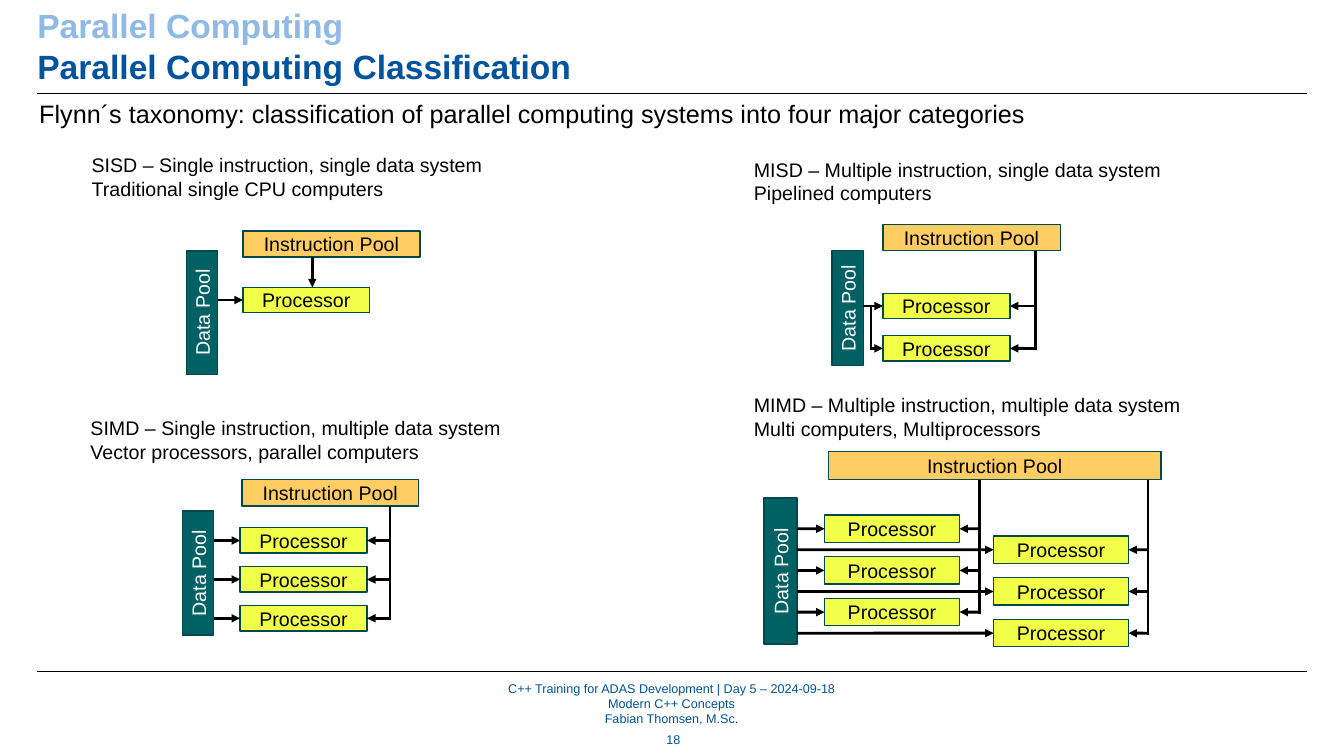
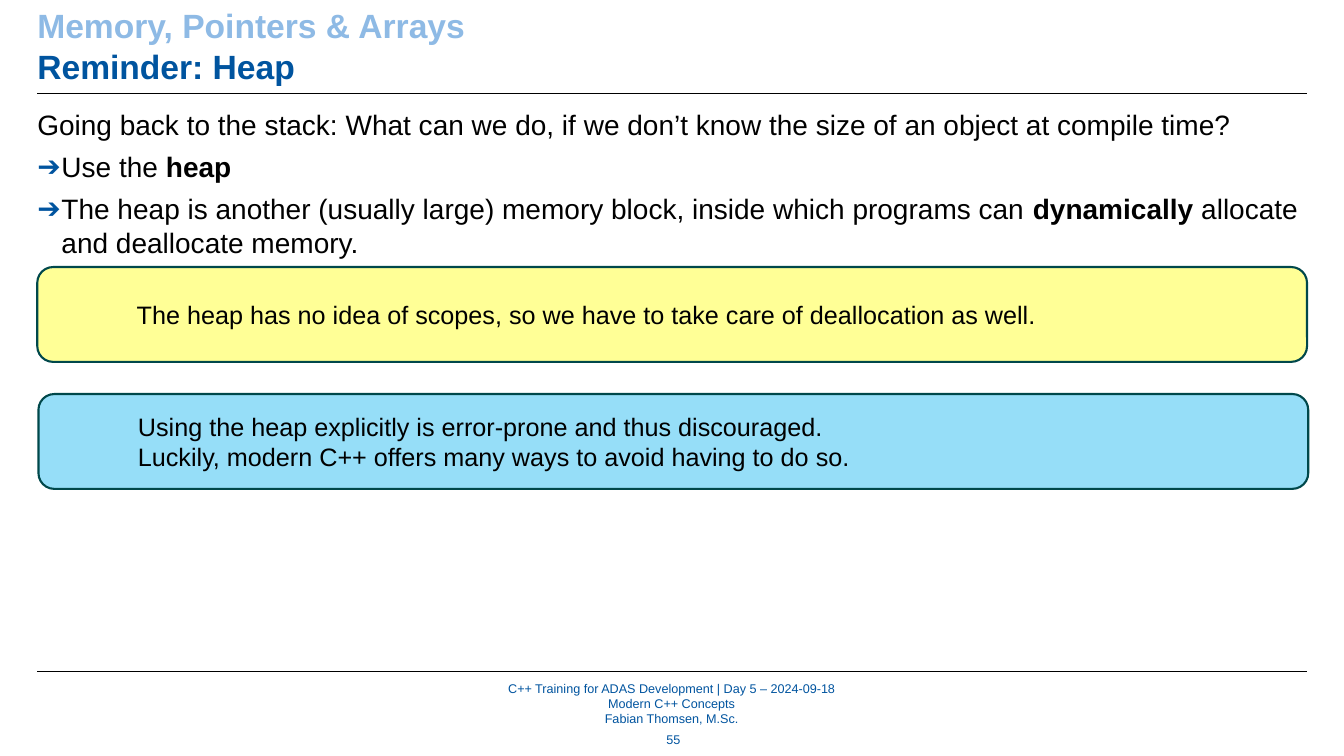
from dataclasses import dataclass
from typing import Any, Optional

from lxml import etree
from pptx import Presentation
from pptx.dml.color import RGBColor
from pptx.enum.shapes import MSO_CONNECTOR as Connector, MSO_SHAPE as Preset
from pptx.enum.text import MSO_ANCHOR as Anchor, PP_ALIGN as Align
from pptx.oxml.ns import qn
from pptx.util import Cm, Pt

FONT = "Arial"
BLACK = RGBColor(0x00, 0x00, 0x00)
WHITE = RGBColor(0xFF, 0xFF, 0xFF)
BLUE = RGBColor(0x00, 0x54, 0x9F)
LIGHT_BLUE = RGBColor(0x8E, 0xBA, 0xE5)
TEAL = RGBColor(0x00, 0x61, 0x65)
DARK_TEAL = RGBColor(0x00, 0x48, 0x4B)
ORANGE = RGBColor(0xFF, 0xCD, 0x61)
LIME = RGBColor(0xF1, 0xFF, 0x48)
YELLOW = RGBColor(0xFF, 0xFF, 0x00)
SKY = RGBColor(0x00, 0xB0, 0xF0)

MARGIN, CONTENT_WIDTH = 0.94, 32.0
RULE_TOPS = (2.34, 16.92)
ARROW_WIDTH = 2
HALF_STROKE = 0.035  # closes the corner where a trunk meets its last arrow
FOOTER = (
    "C++ Training for ADAS Development | Day 5 – 2024-09-18",
    "Modern C++ Concepts",
    "Fabian Thomsen, M.Sc.",
)
NO_INSETS = (0, 0, 0, 0)
TEXT_INSETS = (0.25, 0.13, 0.25, 0.13)
CALLOUT_INSETS = (2.39, 0.13, 0.25, 0.13)


@dataclass(frozen=True)
class Box:
    """A rectangle in centimetres."""
    left: float
    top: float
    width: float
    height: float

    @property
    def right(self) -> float:
        return self.left + self.width

    @property
    def bottom(self) -> float:
        return self.top + self.height

    @property
    def lengths(self) -> tuple:
        return Cm(self.left), Cm(self.top), Cm(self.width), Cm(self.height)


@dataclass(frozen=True)
class Run:
    text: str
    size: float
    color: RGBColor = BLACK
    bold: bool = False


@dataclass(frozen=True)
class Column:
    """Equally spaced processors, fed by data and an instruction trunk."""
    first: Box
    count: int = 1
    pitch: float = 0
    trunk_x: Optional[float] = None
    data_trunk_x: Optional[float] = None


@dataclass(frozen=True)
class Diagram:
    caption: tuple
    caption_at: tuple
    data_pool: Box
    instruction_pool: Box
    columns: tuple
    down_arrow_x: Optional[float] = None


@dataclass(frozen=True)
class Callout:
    box: Box
    color: RGBColor
    lines: tuple


DIAGRAMS = (
    Diagram(
        ("SISD – Single instruction, single data system",
         "Traditional single CPU computers"),
        (2.06, 3.73), Box(4.70, 6.32, 0.79, 3.12), Box(6.12, 5.82, 4.47, 0.66),
        (Column(Box(6.12, 7.24, 3.2, 0.64)),),
        down_arrow_x=7.87,
    ),
    Diagram(
        ("MIMD – Multiple instruction, multiple data system",
         "Multi computers, Multiprocessors"),
        (18.75, 9.78), Box(19.25, 12.55, 0.84, 3.68), Box(20.88, 11.38, 8.38, 0.71),
        (Column(Box(20.78, 12.98, 3.4, 0.69), 3, 1.05, 24.69),
         Column(Box(25.04, 13.51, 3.4, 0.69), 3, 1.05, 28.93)),
    ),
    Diagram(
        ("SIMD – Single instruction, multiple data system",
         "Vector processors, parallel computers"),
        (2.03, 10.36), Box(4.60, 12.88, 0.79, 3.12), Box(6.10, 12.09, 4.45, 0.66),
        (Column(Box(6.05, 13.30, 3.2, 0.64), 3, 0.98, 9.83),),
    ),
    Diagram(
        ("MISD – Multiple instruction, single data system",
         "Pipelined computers"),
        (18.75, 3.84), Box(20.97, 6.31, 0.79, 2.9), Box(22.25, 5.66, 4.47, 0.66),
        (Column(Box(22.25, 7.39, 3.2, 0.64), 2, 1.07, 26.09, 21.95),),
    ),
)

CALLOUTS = (
    Callout(Box(0.94, 6.73, 32, 2.39), YELLOW,
            ("The heap has no idea of scopes, so we have to take care of "
             "deallocation as well.",)),
    Callout(Box(0.97, 9.93, 32, 2.39), SKY,
            ("Using the heap explicitly is error-prone and thus discouraged.",
             "Luckily, modern C++ offers many ways to avoid having to do so.")),
)


def set_all(target: Any, values: dict) -> None:
    for name, value in values.items():
        setattr(target, name, value)


def write(shape: Any, paragraphs: list, align: Align = Align.LEFT,
          anchor: Anchor = Anchor.TOP, insets: tuple = TEXT_INSETS) -> list:
    """Fill a shape with paragraphs, each a list of runs."""
    frame = shape.text_frame
    left, top, right, bottom = (Cm(inset) for inset in insets)
    set_all(frame, {
        "word_wrap": True, "vertical_anchor": anchor, "margin_left": left,
        "margin_top": top, "margin_right": right, "margin_bottom": bottom,
    })
    for index, runs in enumerate(paragraphs):
        paragraph = frame.add_paragraph() if index else frame.paragraphs[0]
        paragraph.alignment = align
        for item in runs:
            run = paragraph.add_run()
            run.text = item.text
            set_all(run.font, {"name": FONT, "size": Pt(item.size), "bold": item.bold})
            run.font.color.rgb = item.color
    return list(frame.paragraphs)


def add_text(shapes: Any, box: Box, paragraphs: list, **options: Any) -> list:
    return write(shapes.add_textbox(*box.lengths), paragraphs, **options)


def add_panel(shapes: Any, preset: Preset, box: Box, fill: RGBColor,
              line_width: float) -> Any:
    shape = shapes.add_shape(preset, *box.lengths)
    shape.shadow.inherit = False
    shape.fill.solid()
    shape.fill.fore_color.rgb = fill
    shape.line.color.rgb = DARK_TEAL
    shape.line.width = Pt(line_width)
    return shape


def add_label_box(shapes: Any, box: Box, label: str, fill: RGBColor,
                  color: RGBColor = BLACK) -> Any:
    shape = add_panel(shapes, Preset.RECTANGLE, box, fill, 1)
    write(shape, [[Run(label, 14, color)]], Align.CENTER, Anchor.MIDDLE)
    return shape


def add_line(shapes: Any, start: tuple, end: tuple, width: float = ARROW_WIDTH,
             arrow: bool = False) -> Any:
    points = (Cm(value) for value in (*start, *end))
    connector = shapes.add_connector(Connector.STRAIGHT, *points)
    connector.line.color.rgb = BLACK
    connector.line.width = Pt(width)
    properties = connector.element.spPr
    if arrow:
        line = properties.find(qn("a:ln"))
        etree.SubElement(line, qn("a:tailEnd"), type="triangle")
    etree.SubElement(properties, qn("a:effectLst"))
    return connector


def add_bullet(paragraph: Any) -> None:
    properties = paragraph._p.get_or_add_pPr()
    indent = Cm(0.61)
    properties.set("marL", str(indent))
    properties.set("indent", str(-indent))
    color = etree.SubElement(properties, qn("a:buClr"))
    etree.SubElement(color, qn("a:srgbClr"), val=str(BLUE))
    etree.SubElement(properties, qn("a:buFont"), typeface=FONT)
    etree.SubElement(properties, qn("a:buChar"), char="➔")


def add_base_slide(presentation: Any, chapter: str, title: str, number: int) -> Any:
    """Add a slide with the shared title, rules and footer."""
    slide = presentation.slides.add_slide(presentation.slide_layouts[5])
    shapes = slide.shapes
    for top in RULE_TOPS:
        add_line(shapes, (MARGIN, top), (MARGIN + CONTENT_WIDTH, top), 0.5)
    left, top, width, height = Box(MARGIN, 0.13, CONTENT_WIDTH, 2.06).lengths
    set_all(shapes.title, {"left": left, "top": top, "width": width, "height": height})
    write(shapes.title, [[Run(chapter, 24, LIGHT_BLUE, True)],
                         [Run(title, 24, BLUE, True)]], insets=NO_INSETS)
    centred = {"align": Align.CENTER, "anchor": Anchor.MIDDLE, "insets": NO_INSETS}
    add_text(shapes, Box(8.71, 17.15, 16.43, 1.17),
             [[Run(line, 9, BLUE)] for line in FOOTER], **centred)
    add_text(shapes, Box(16.31, 18.31, 1.32, 0.66),
             [[Run(str(number), 9, BLUE)]], **centred)
    return slide


def add_column(shapes: Any, column: Column, diagram: Diagram) -> None:
    first = column.first
    for index in range(column.count):
        box = Box(first.left, first.top + index * column.pitch, first.width, first.height)
        processor = add_label_box(shapes, box, "Processor", LIME)
        middle = box.top + box.height / 2
        # Data arrow, from the pool or from the data trunk
        from_trunk = index > 0 and column.data_trunk_x is not None
        data_x = column.data_trunk_x if from_trunk else diagram.data_pool.right
        data = add_line(shapes, (data_x, middle), (box.left, middle), arrow=True)
        data.end_connect(processor, 1)
        # Instruction arrow
        if column.trunk_x is not None:
            instruction = add_line(shapes, (column.trunk_x, middle),
                                   (box.right, middle), arrow=True)
            instruction.end_connect(processor, 3)
    # Trunks run down to the last processor
    trunks = ((column.trunk_x, diagram.instruction_pool.bottom),
              (column.data_trunk_x, first.top + first.height / 2))
    for x, top in trunks:
        if x is not None:
            add_line(shapes, (x, top), (x, middle + HALF_STROKE))


def add_diagram(slide: Any, diagram: Diagram) -> None:
    shapes = slide.shapes.add_group_shape().shapes
    # The data pool is a wide box turned upright about its centre
    pool = diagram.data_pool
    shift = (pool.height - pool.width) / 2
    flat = Box(pool.left - shift, pool.top + shift, pool.height, pool.width)
    add_label_box(shapes, flat, "Data Pool", TEAL, WHITE).rotation = 270
    add_label_box(shapes, diagram.instruction_pool, "Instruction Pool", ORANGE)
    for column in diagram.columns:
        add_column(shapes, column, diagram)
    if diagram.down_arrow_x is not None:
        x = diagram.down_arrow_x
        add_line(shapes, (x, diagram.instruction_pool.bottom),
                 (x, diagram.columns[0].first.top), arrow=True)
    add_text(slide.shapes, Box(*diagram.caption_at, 12, 1.5),
             [[Run(line, 14)] for line in diagram.caption])


def add_callout(slide: Any, callout: Callout) -> None:
    shape = add_panel(slide.shapes, Preset.ROUNDED_RECTANGLE, callout.box,
                      callout.color, 1.5)
    color = shape.element.spPr.find(qn("a:solidFill")).find(qn("a:srgbClr"))
    etree.SubElement(color, qn("a:alpha"), val="41000")
    write(shape, [[Run(line, 18)] for line in callout.lines],
          anchor=Anchor.MIDDLE, insets=CALLOUT_INSETS)


def build_classification(presentation: Any) -> None:
    slide = add_base_slide(presentation, "Parallel Computing",
                           "Parallel Computing Classification", 18)
    for diagram in DIAGRAMS:
        add_diagram(slide, diagram)
    add_text(slide.shapes, Box(0.74, 2.34, 27, 1.02), [[Run(
        "Flynn´s taxonomy: classification of parallel computing systems "
        "into four major categories", 18)]])


def build_heap(presentation: Any) -> None:
    slide = add_base_slide(presentation, "Memory, Pointers & Arrays", "Reminder: Heap", 55)
    paragraphs = add_text(slide.shapes, Box(MARGIN, 2.72, CONTENT_WIDTH, 3.9), [
        [Run("Going back to the stack: What can we do, if we don’t know the size "
             "of an object at compile time?", 20)],
        [Run("Use the ", 20), Run("heap", 20, bold=True)],
        [Run("The heap is another (usually large) memory block, inside which "
             "programs can ", 20),
         Run("dynamically", 20, bold=True),
         Run(" allocate and deallocate memory.", 20)],
    ], insets=NO_INSETS)
    for paragraph in paragraphs[1:]:
        add_bullet(paragraph)
        paragraph.space_before = Pt(6)
    for callout in CALLOUTS:
        add_callout(slide, callout)


def main() -> None:
    presentation = Presentation()
    set_all(presentation, {"slide_width": Cm(33.87), "slide_height": Cm(19.05)})
    build_classification(presentation)
    build_heap(presentation)
    presentation.save("out.pptx")


if __name__ == "__main__":
    main()
